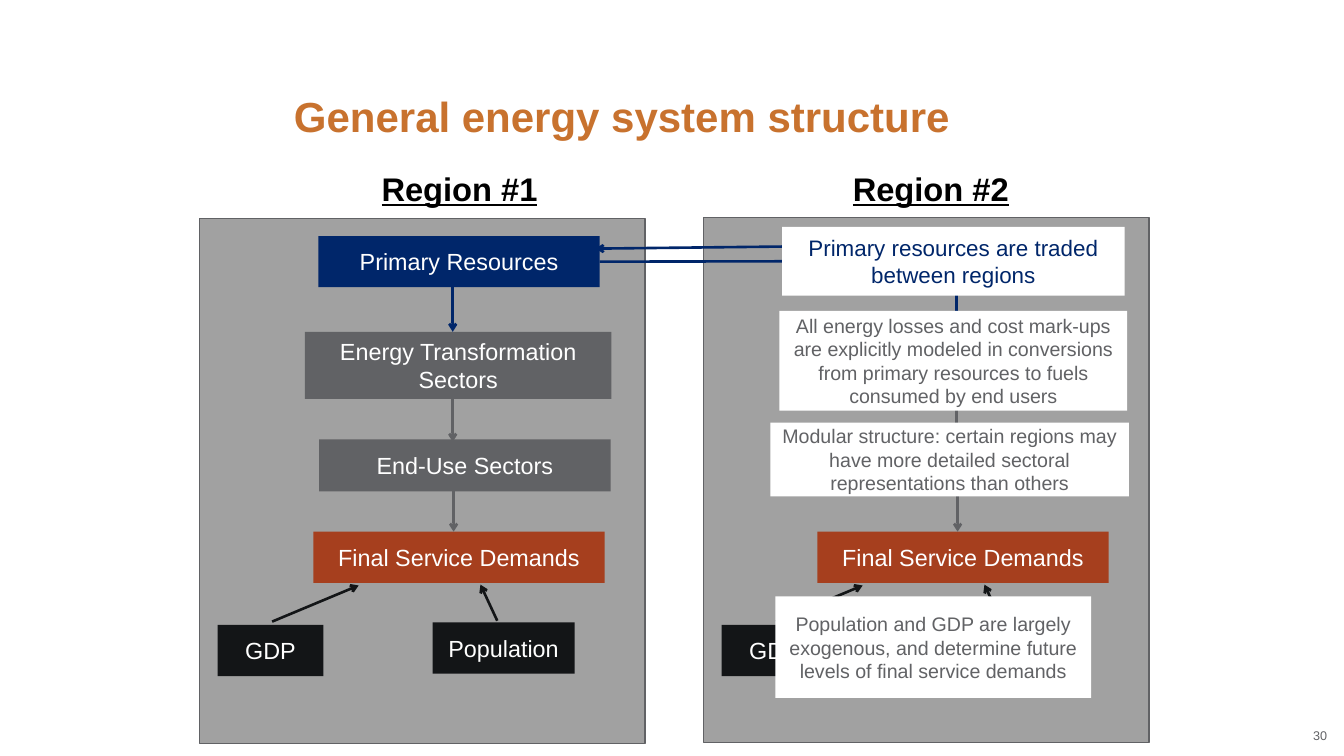
from lxml import etree
from pptx import Presentation
from pptx.dml.color import RGBColor
from pptx.enum.shapes import MSO_CONNECTOR, MSO_SHAPE
from pptx.enum.text import MSO_ANCHOR, PP_ALIGN
from pptx.oxml.ns import qn
from pptx.util import Pt

RECT, STRAIGHT = MSO_SHAPE.RECTANGLE, MSO_CONNECTOR.STRAIGHT
LEFT, CENTER, RIGHT = PP_ALIGN.LEFT, PP_ALIGN.CENTER, PP_ALIGN.RIGHT
TOP, MIDDLE, BOTTOM = MSO_ANCHOR.TOP, MSO_ANCHOR.MIDDLE, MSO_ANCHOR.BOTTOM
RIGHT_SIDE = 3

THEME = {
    "font": "Arial",
    "white": "FFFFFF", "black": "000000", "ink": "131517", "grey": "616265",
    "panel": "A1A1A1", "navy": "00266A", "rust": "A63F1E", "orange": "C8722E",
    "title": 36, "heading": 28, "box": 20, "lead_note": 19.2, "note": 16.8,
    "number": 10.8, "arrow": 2.25, "outline": 1,
}

prs = Presentation()
prs.slide_width, prs.slide_height = Pt(16 * 72), Pt(9 * 72)
slide = prs.slides.add_slide(prs.slide_layouts[6])
COL, ROW = prs.slide_width / 16, prs.slide_height / 9


def add_block(place, text, size, color, fill=None, align=CENTER, anchor=MIDDLE):
    """Place a filled box, or a plain text box when there is no fill."""
    left, top, width, height = place
    area = [round(v) for v in (left * COL, top * ROW, width * COL, height * ROW)]
    if fill:
        block = slide.shapes.add_shape(RECT, *area)
        block.shadow.inherit = False
        block.fill.solid()
        block.fill.fore_color.rgb = RGBColor.from_string(THEME[fill])
        block.line.fill.background()
    else:
        block = slide.shapes.add_textbox(*area)
    frame = block.text_frame
    frame.word_wrap = True
    frame.vertical_anchor = anchor
    paragraph = frame.paragraphs[0]
    paragraph.text = text
    paragraph.alignment = align
    paragraph.font.name = THEME["font"]
    paragraph.font.size = Pt(THEME[size])
    paragraph.font.color.rgb = RGBColor.from_string(THEME[color])
    return block


def add_arrow(x1, y1, x2, y2, color):
    arrow = slide.shapes.add_connector(
        STRAIGHT, round(x1 * COL), round(y1 * ROW), round(x2 * COL), round(y2 * ROW))
    arrow.line.width = Pt(THEME["arrow"])
    arrow.line.color.rgb = RGBColor.from_string(THEME[color])
    etree.SubElement(arrow.line._get_or_add_ln(), qn("a:tailEnd"), type="arrow")
    etree.SubElement(arrow._element.spPr, qn("a:effectLst"))
    return arrow


# Title and slide number
title = add_block((3.5, 0.3, 12, 1.43), "General energy system structure",
                  "title", "orange", align=LEFT, anchor=BOTTOM)
title.text_frame.margin_left = 0
title.text_frame.paragraphs[0].line_spacing = 0.9
title.text_frame.paragraphs[0].font.bold = True

number = add_block((15.3, 8.5, 0.5, 0.5), "30", "number", "grey", align=RIGHT)
number.text_frame.margin_left = number.text_frame.margin_right = 0
number.text_frame.margin_top = number.text_frame.margin_bottom = 0

# Boxes and arrows of a region, with x counted from the panel's left edge
shared_boxes = [
    ("Final Service Demands", (1.35, 6.33, 3.47, 0.61), "rust"),
    ("GDP", (0.21, 7.44, 1.26, 0.61), "ink"),
]
full_boxes = shared_boxes + [
    ("Energy Transformation Sectors", (1.25, 3.95, 3.65, 0.8), "grey"),
    ("End-Use Sectors", (1.42, 5.23, 3.47, 0.62), "grey"),
    ("Population", (2.77, 7.41, 1.69, 0.61), "ink"),
    ("Primary Resources", (1.41, 2.81, 3.35, 0.61), "navy"),
]
flows = [
    (3.01, 3.42, 3.01, 3.95, "navy"),
    (3.01, 4.73, 3.01, 5.26, "grey"),
    (3.02, 5.8, 3.02, 6.33, "grey"),
    (0.86, 7.4, 1.89, 6.97, "ink"),
    (3.54, 7.39, 3.34, 6.96, "ink"),
]
regions = [
    ("Region #1", 2.38, 2.6, 2.83, full_boxes),
    ("Region #2", 8.38, 2.59, 8.44, shared_boxes),
]
blocks = {}
for region, left, top, heading_left, boxes in regions:
    panel = add_block((left, top, 5.3, 6.25), "", "box", "white", "panel")
    panel.line.color.rgb = RGBColor.from_string(THEME["grey"])
    panel.line.width = Pt(THEME["outline"])
    for label, (x, y, width, height), fill in boxes:
        blocks[region, label] = add_block(
            (left + x, y, width, height), label, "box", "white", fill)
    for x1, y1, x2, y2, color in flows:
        add_arrow(left + x1, y1, left + x2, y2, color)
    heading = add_block((heading_left, 1.96, 5.28, 0.57), region,
                        "heading", "black", anchor=TOP)
    heading.text_frame.paragraphs[0].font.bold = True
    heading.text_frame.paragraphs[0].font.underline = True

# Trade between the regions
exports = add_arrow(7.14, 3.12, 9.79, 3.11, "navy")
exports.begin_connect(blocks["Region #1", "Primary Resources"], RIGHT_SIDE)
add_arrow(9.78, 2.93, 7.09, 2.96, "navy")

# Notes over region 2
notes = [
    ("Primary resources are traded between regions",
     (9.31, 2.7, 4.08, 0.82), "lead_note", "navy"),
    ("All energy losses and cost mark-ups are explicitly modeled in conversions "
     "from primary resources to fuels consumed by end users",
     (9.28, 3.7, 4.14, 1.19), "note", "grey"),
    ("Modular structure: certain regions may have more detailed sectoral "
     "representations than others",
     (9.17, 5.03, 4.27, 0.88), "note", "grey"),
    ("Population and GDP are largely exogenous, and determine future levels "
     "of final service demands",
     (9.23, 7.1, 3.76, 1.21), "note", "grey"),
]
for text, place, size, color in notes:
    add_block(place, text, size, color, "white")

prs.save("out.pptx")
